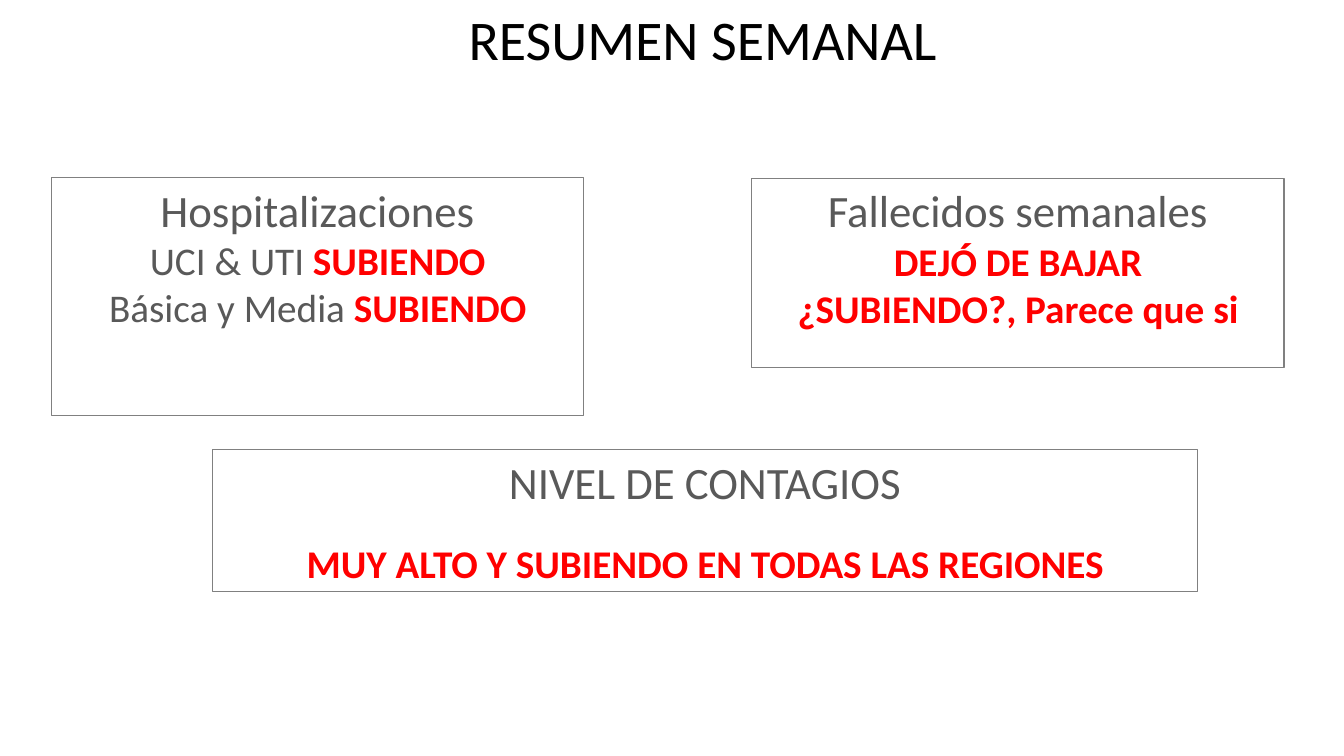
"""Builds the weekly summary slide with its three status panels."""
import pptx
import pptx.dml.color
import pptx.enum.text
import pptx.enum.shapes
import pptx.util

Cm = pptx.util.Cm
Pt = pptx.util.Pt

FONT = "Calibri"
BLACK, GREY, RED, BORDER = "000000", "595959", "FF0000", "808080"
HEADING_SIZE, STATUS_SIZE = 32, 28

TITLE = ("RESUMEN SEMANAL", (11.56, 0, 12.42, 1.96), 40)
PANELS = [
    {
        "place": (1.3, 4.47, 13.41, 5.99),
        "heading": "Hospitalizaciones",
        "status": [
            [("UCI & UTI ", False), ("SUBIENDO", True)],
            [("Básica y Media ", False), ("SUBIENDO", True)],
        ],
        "gap": 0,
    },
    {
        "place": (18.95, 4.49, 13.41, 4.78),
        "heading": "Fallecidos semanales",
        "status": [
            [("DEJÓ DE BAJAR", True)],
            [("¿SUBIENDO?, Parece que si", True)],
        ],
        "gap": 0,
    },
    {
        "place": (5.36, 11.33, 24.82, 3.58),
        "heading": "NIVEL DE CONTAGIOS",
        "status": [[("MUY ALTO Y SUBIENDO EN TODAS LAS REGIONES", True)]],
        "gap": 22,
    },
]


def color(target, value):
    target.rgb = pptx.dml.color.RGBColor.from_string(value)


def add_span(para, text, size, value, bold=False):
    span = para.add_run()
    span.text = text
    span.font.name = FONT
    span.font.size = Pt(size)
    span.font.bold = bold
    color(span.font.color, value)


def add_title(page):
    text, place, size = TITLE
    box = page.shapes.add_textbox(*map(Cm, place))
    box.text_frame.word_wrap = False
    add_span(box.text_frame.paragraphs[0], text, size, BLACK)


def add_panel(page, panel):
    rectangle = pptx.enum.shapes.MSO_SHAPE.RECTANGLE
    box = page.shapes.add_shape(rectangle, *map(Cm, panel["place"]))
    box.shadow.inherit = False
    box.fill.background()
    box.line.width = Pt(0.75)
    color(box.line.color, BORDER)
    frame = box.text_frame
    frame.word_wrap = True
    frame.vertical_anchor = pptx.enum.text.MSO_ANCHOR.TOP
    add_span(frame.paragraphs[0], panel["heading"], HEADING_SIZE, GREY)
    for index, spans in enumerate(panel["status"]):
        para = frame.add_paragraph()
        if index == 0 and panel["gap"]:
            para.space_before = Pt(panel["gap"])
        for text, alert in spans:
            add_span(para, text, STATUS_SIZE, RED if alert else GREY, alert)
    for para in frame.paragraphs:
        para.alignment = pptx.enum.text.PP_ALIGN.CENTER


def main():
    deck = pptx.Presentation()
    deck.slide_width, deck.slide_height = Cm(33.87), Cm(19.05)
    page = deck.slides.add_slide(deck.slide_layouts[6])
    add_title(page)
    for panel in PANELS:
        add_panel(page, panel)
    deck.save("out.pptx")


if __name__ == "__main__":
    main()
